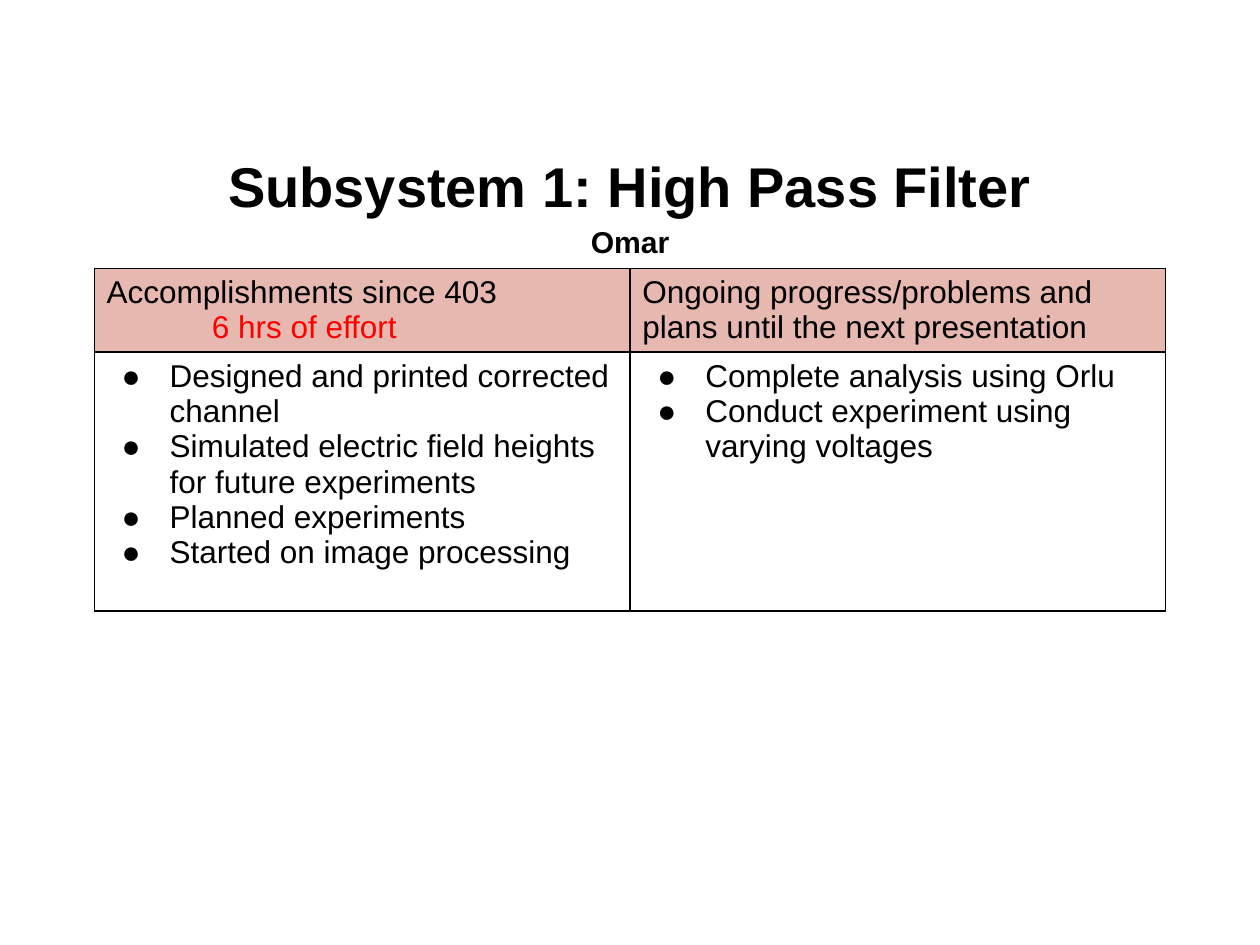
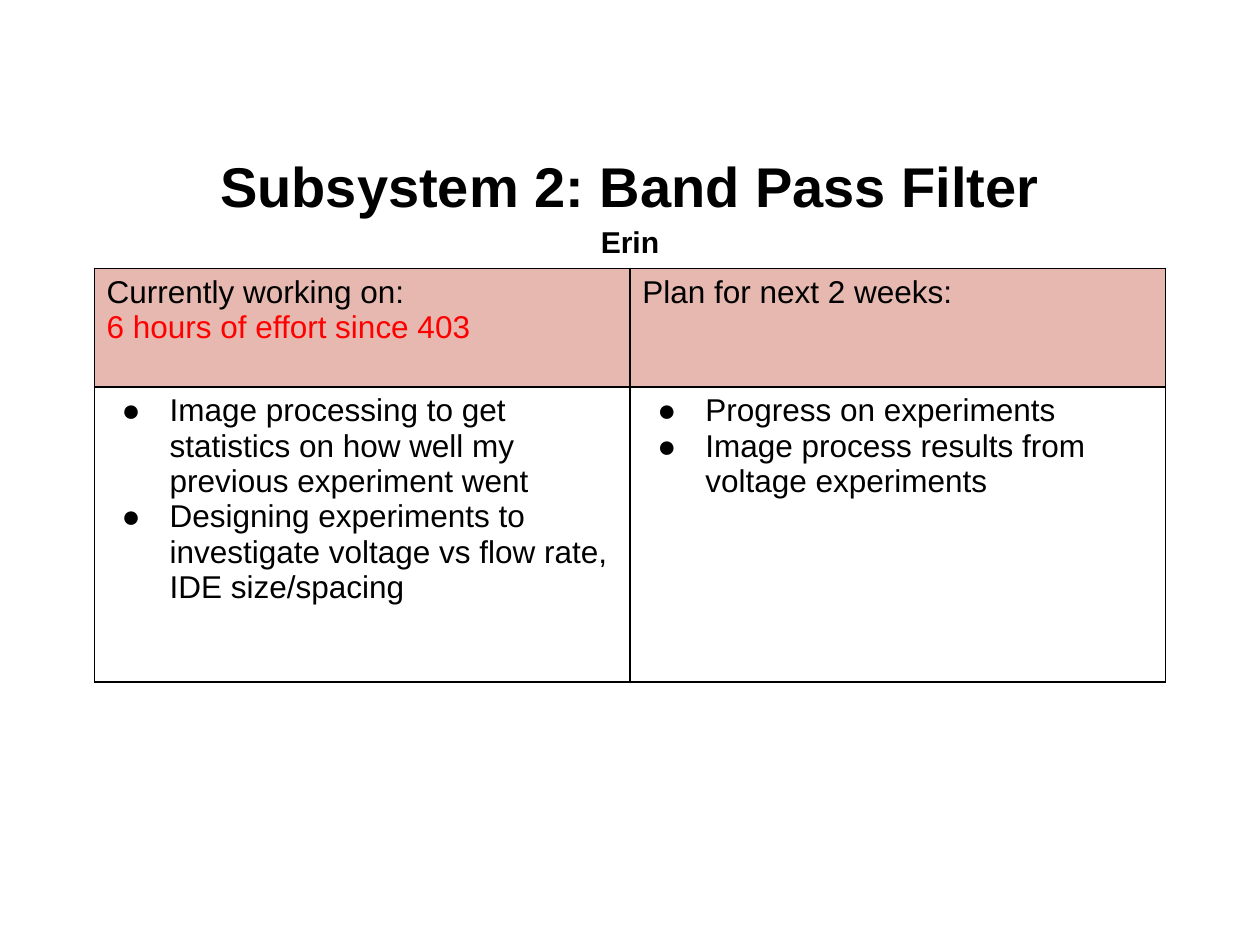
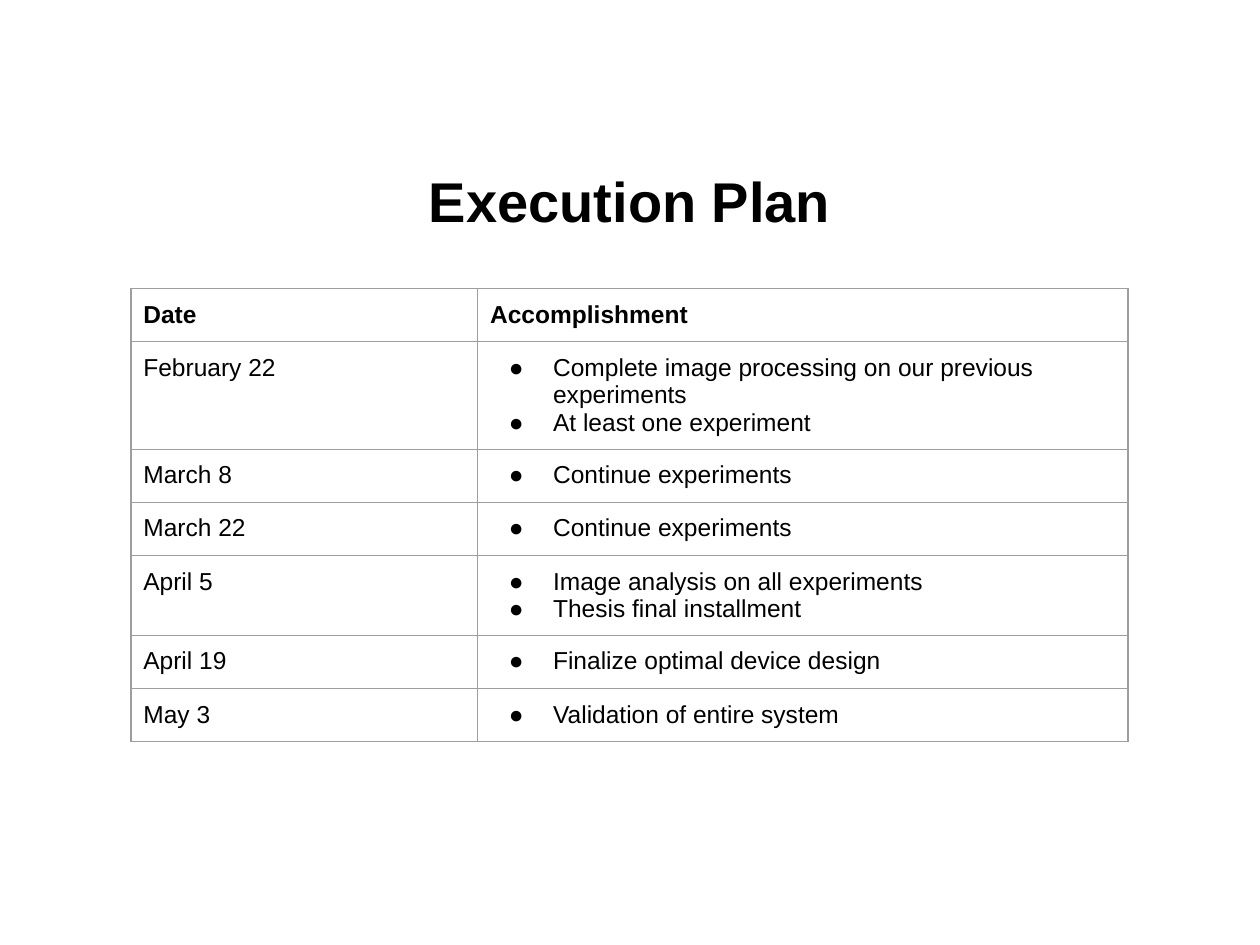
from lxml.etree import SubElement
from pptx import Presentation
from pptx.dml.color import RGBColor
from pptx.enum.text import MSO_ANCHOR, MSO_AUTO_SIZE, PP_ALIGN
from pptx.oxml.ns import qn
from pptx.util import Cm, Pt

COLOURS = {"text": "000000", "effort": "FF0000", "header": "E6B8AF", "grid": "9E9E9E"}
FONT = "Arial"
BULLET_INDENT = 1.27

# Content: each subsystem has two columns of (heading, effort, effort indent, tasks)
SUBSYSTEMS = [
    {
        "title": "Subsystem 1: High Pass Filter",
        "owner": "Omar",
        "row_heights": [1.69, 5.22],
        "columns": [
            ("Accomplishments since 403", "6 hrs of effort", 2.12, [
                "Designed and printed corrected channel",
                "Simulated electric field heights for future experiments",
                "Planned experiments",
                "Started on image processing",
            ]),
            ("Ongoing progress/problems and plans until the next presentation", None, 0, [
                "Complete analysis using Orlu",
                "Conduct experiment using varying voltages",
            ]),
        ],
    },
    {
        "title": "Subsystem 2: Band Pass Filter",
        "owner": "Erin",
        "row_heights": [2.39, 5.95],
        "columns": [
            ("Currently working on:", "6 hours of effort since 403", 0, [
                "Image processing to get statistics on how well my previous experiment went",
                "Designing experiments to investigate voltage vs flow rate, IDE size/spacing",
            ]),
            ("Plan for next 2 weeks:", None, 0, [
                "Progress on experiments",
                "Image process results from voltage experiments",
            ]),
        ],
    },
]

PLAN_HEADINGS = ["Date", "Accomplishment"]
MILESTONES = [
    ("February 22", ["Complete image processing on our previous experiments",
                     "At least one experiment"]),
    ("March 8", ["Continue experiments"]),
    ("March 22", ["Continue experiments"]),
    ("April 5", ["Image analysis on all experiments", "Thesis final installment"]),
    ("April 19", ["Finalize optimal device design"]),
    ("May 3", ["Validation of entire system"]),
]


def set_font(paragraph, size, colour="text", bold=False):
    font = paragraph.font
    font.name, font.size, font.bold = FONT, Pt(size), bold
    font.color.rgb = RGBColor.from_string(COLOURS[colour])


def indent(paragraph, left, first_line=0):
    properties = paragraph._p.get_or_add_pPr()
    properties.set("marL", str(Cm(left)))
    properties.set("indent", str(Cm(first_line)))
    return properties


def add_bullet(paragraph, hanging):
    properties = indent(paragraph, BULLET_INDENT, -hanging)
    bullet_colour = SubElement(properties, qn("a:buClr"))
    SubElement(bullet_colour, qn("a:srgbClr"), val=COLOURS["text"])
    SubElement(properties, qn("a:buFont"), typeface=FONT)
    SubElement(properties, qn("a:buChar"), char="●")


def add_titled_slide(deck, title, owner=None):
    slide = deck.slides.add_slide(deck.slide_layouts[5])
    heading = slide.shapes.title
    heading.left, heading.top = Cm(1.27), Cm(2.92)
    heading.width, heading.height = Cm(22.86), Cm(2.24)
    frame = heading.text_frame
    frame.auto_size = MSO_AUTO_SIZE.NONE
    frame.word_wrap = True
    frame.vertical_anchor = MSO_ANCHOR.MIDDLE
    frame.text = f"{title}\n{owner}" if owner else title
    for paragraph, size in zip(frame.paragraphs, (32, 17.2)):
        paragraph.alignment = PP_ALIGN.CENTER
        if owner:
            paragraph.line_spacing = 1.15
        set_font(paragraph, size, bold=True)
    return slide


def add_grid(slide, left, top, widths, heights, border, border_width, margin):
    """Add a plain ruled table and return it."""
    grid = slide.shapes.add_table(len(heights), len(widths), Cm(left), Cm(top),
                                  Cm(sum(widths)), Cm(sum(heights))).table
    grid.first_row = grid.horz_banding = False
    for column, width in zip(grid.columns, widths):
        column.width = Cm(width)
    for row, height in zip(grid.rows, heights):
        row.height = Cm(height)
    for cell in grid.iter_cells():
        cell.margin_left = cell.margin_right = Cm(0.25)
        cell.margin_top = cell.margin_bottom = Cm(margin)
        for side in ("lnL", "lnR", "lnT", "lnB"):
            line = SubElement(cell._tc.get_or_add_tcPr(), qn(f"a:{side}"),
                              w=str(Pt(border_width)))
            fill = SubElement(line, qn("a:solidFill"))
            SubElement(fill, qn("a:srgbClr"), val=COLOURS[border])
        cell.fill.background()
    return grid


def write_lines(cell, lines, size, hanging=None, bold=False):
    """Write one paragraph per line, bulleted when a hanging indent is given."""
    cell.text = "\n".join(lines)
    for paragraph in cell.text_frame.paragraphs:
        if hanging:
            add_bullet(paragraph, hanging)
        set_font(paragraph, size, bold=bold)


def add_subsystem(deck, subsystem):
    slide = add_titled_slide(deck, subsystem["title"], subsystem["owner"])
    grid = add_grid(slide, 1.9, 5.41, [10.8, 10.8], subsystem["row_heights"],
                    "text", 1, 0.13)
    for index, (heading, effort, effort_indent, tasks) in enumerate(subsystem["columns"]):
        header = grid.cell(0, index)
        header.fill.solid()
        header.fill.fore_color.rgb = RGBColor.from_string(COLOURS["header"])
        write_lines(header, [heading], 18)
        if effort:
            effort_line = header.text_frame.add_paragraph()
            effort_line.text = effort
            indent(effort_line, effort_indent)
            set_font(effort_line, 18, "effort")
        write_lines(grid.cell(1, index), tasks, 18, hanging=0.97)


def add_execution_plan(deck):
    slide = add_titled_slide(deck, "Execution Plan")
    grid = add_grid(slide, 2.64, 5.82, [6.99, 13.11], [1.07] * (len(MILESTONES) + 1),
                    "grid", 0.75, 0.25)
    for index, heading in enumerate(PLAN_HEADINGS):
        write_lines(grid.cell(0, index), [heading], 14, bold=True)
    for row, (date, goals) in enumerate(MILESTONES, start=1):
        write_lines(grid.cell(row, 0), [date], 14)
        write_lines(grid.cell(row, 1), goals, 14, hanging=0.89)


def main():
    deck = Presentation()
    deck.slide_width, deck.slide_height = Cm(25.4), Cm(19.05)
    for subsystem in SUBSYSTEMS:
        add_subsystem(deck, subsystem)
    add_execution_plan(deck)
    deck.save("out.pptx")


if __name__ == "__main__":
    main()
